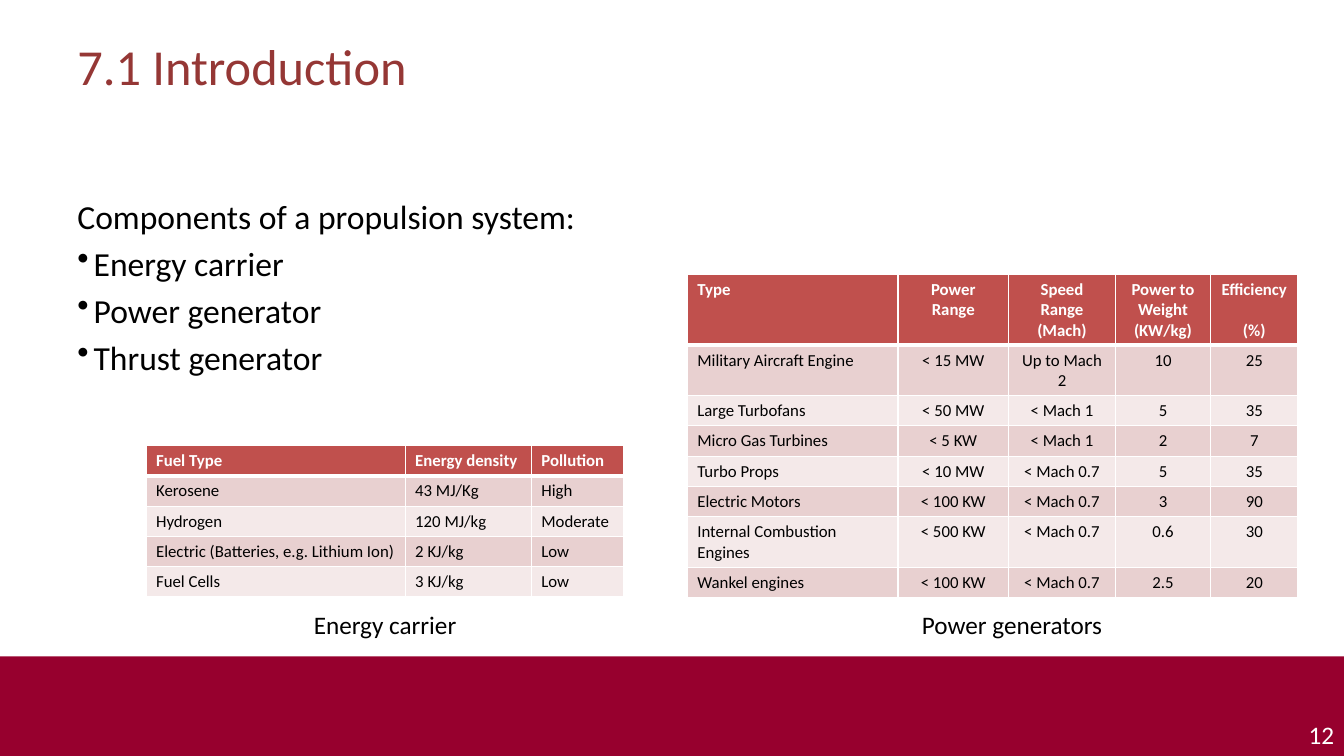
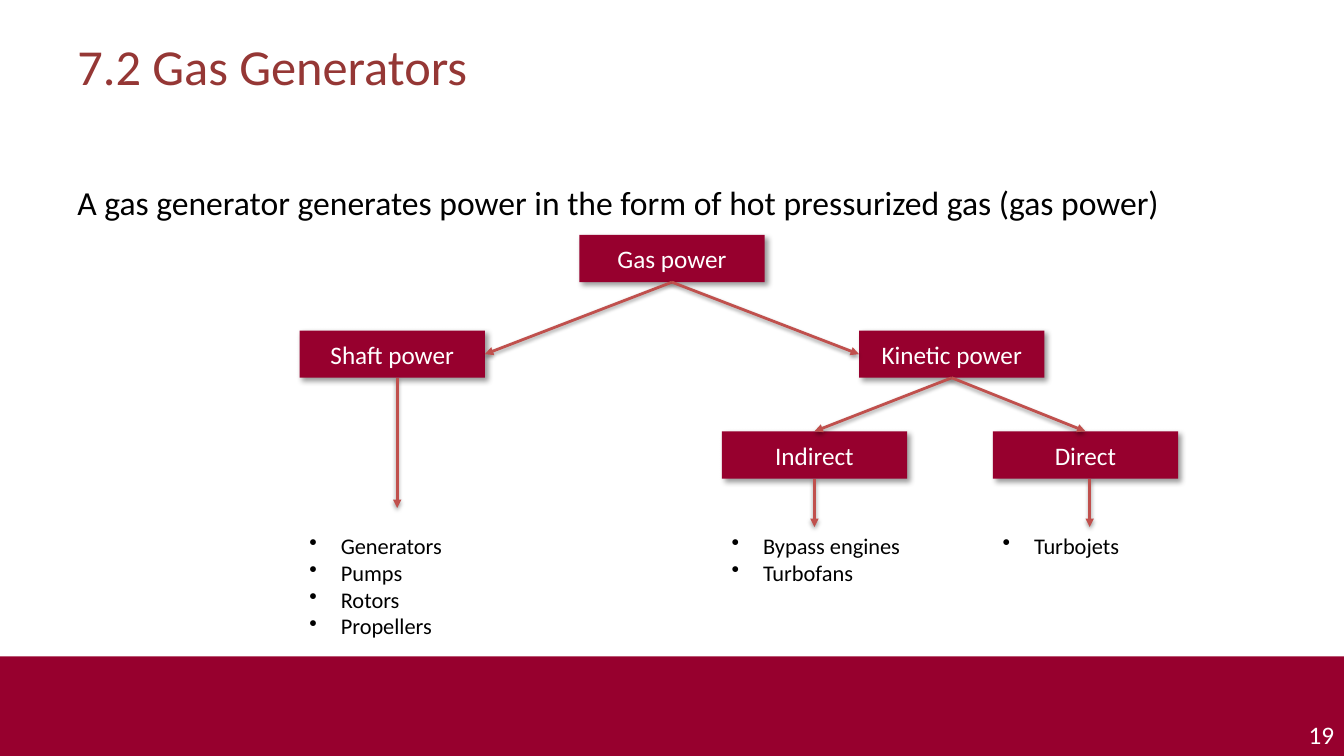
from dataclasses import dataclass

from lxml import etree
from pptx import Presentation
from pptx.dml.color import RGBColor
from pptx.enum.shapes import MSO_CONNECTOR, MSO_SHAPE
from pptx.enum.text import MSO_ANCHOR, PP_ALIGN
from pptx.oxml.ns import qn
from pptx.util import Cm, Pt

LEFT, CENTER, RIGHT = PP_ALIGN.LEFT, PP_ALIGN.CENTER, PP_ALIGN.RIGHT
MIDDLE = MSO_ANCHOR.MIDDLE
RECTANGLE, STRAIGHT = MSO_SHAPE.RECTANGLE, MSO_CONNECTOR.STRAIGHT
SIDE_TOP, SIDE_LEFT, SIDE_BOTTOM, SIDE_RIGHT = range(4)


@dataclass(frozen=True)
class Theme:
    font: str = "Calibri"
    crimson: str = "97002E"
    title: str = "953735"
    accent: str = "C0504D"
    stripes: tuple = ("E8D0D0", "F4E9E9")
    black: str = "000000"
    white: str = "FFFFFF"
    title_size: int = 36
    body_size: int = 24
    label_size: int = 18
    list_size: int = 16
    table_size: int = 12
    body_gap: float = 4.8


T = Theme()
SLIDE_W, SLIDE_H = 33.87, 19.05
BAND_TOP = 16.54
MARGIN, BODY_W = 1.7, 30.48
BOX_W, BOX_H = 4.67, 1.19
LINE_H, CELL_PAD = 0.51, 0.25


# Text
def write(tf, lines, size=T.body_size, color=T.black, bold=False,
          align=LEFT, gap=0, bullet=None):
    """Append paragraphs; gap is in points, bullet is the indent in cm."""
    tf.word_wrap = True
    for line in lines:
        first = not tf.text
        p = tf.paragraphs[0] if first else tf.add_paragraph()
        p.alignment = align
        if gap and not first:
            p.space_before = Pt(gap)
        if bullet:
            pPr = p._p.get_or_add_pPr()
            pPr.set("marL", str(Cm(bullet)))
            pPr.set("indent", str(-Cm(bullet)))
            etree.SubElement(pPr, qn("a:buChar"), char="•")
        r = p.add_run()
        r.text = line
        r.font.name, r.font.size, r.font.bold = T.font, Pt(size), bold
        r.font.color.rgb = RGBColor.from_string(color)


def add_text(s, x, y, w, h, lines, **fmt):
    tf = s.shapes.add_textbox(Cm(x), Cm(y), Cm(w), Cm(h)).text_frame
    write(tf, lines, **fmt)
    return tf


# Shapes and arrows
def add_rect(s, x, y, w, h):
    sp = s.shapes.add_shape(RECTANGLE, Cm(x), Cm(y), Cm(w), Cm(h))
    sp.fill.solid()
    sp.fill.fore_color.rgb = RGBColor.from_string(T.crimson)
    sp.line.fill.background()
    sp.shadow.inherit = False
    return sp


def add_shadow(effects, opacity, blur, distance, angle):
    shadow = etree.SubElement(
        effects, qn("a:outerShdw"), blurRad=str(Pt(blur)),
        dist=str(Pt(distance)), dir=str(angle * 60000), rotWithShape="0")
    color = etree.SubElement(shadow, qn("a:srgbClr"), val=T.black)
    etree.SubElement(color, qn("a:alpha"), val=str(opacity * 1000))


def add_box(s, x, y, label):
    sp = add_rect(s, x, y, BOX_W, BOX_H)
    add_shadow(sp._element.spPr.find(qn("a:effectLst")), 40, 4, 3, 45)
    sp.text_frame.vertical_anchor = MIDDLE
    write(sp.text_frame, [label], size=T.label_size, color=T.white,
          align=CENTER)
    return sp


def add_arrow(s, x1=0, y1=0, x2=0, y2=0, begin=None, end=None):
    """Draw an arrow; begin and end are optional (shape, side) joints."""
    c = s.shapes.add_connector(STRAIGHT, Cm(x1), Cm(y1), Cm(x2), Cm(y2))
    if begin:
        c.begin_connect(*begin)
    if end:
        c.end_connect(*end)
    c.line.color.rgb = RGBColor.from_string(T.accent)
    c.line.width = Pt(2)
    etree.SubElement(c.line._get_or_add_ln(), qn("a:tailEnd"),
                     type="triangle")
    effects = etree.SubElement(c._element.spPr, qn("a:effectLst"))
    add_shadow(effects, 38, 3.1, 1.6, 90)


# Tables
def style_cell(cell, fill, top, bottom):
    tcPr = cell._tc.get_or_add_tcPr()
    for side, width in zip("LRTB", (1, 1, top, bottom)):
        ln = etree.SubElement(tcPr, qn("a:ln" + side), w=str(Pt(width)))
        solid = etree.SubElement(ln, qn("a:solidFill"))
        etree.SubElement(solid, qn("a:srgbClr"), val=T.white)
    cell.fill.solid()
    cell.fill.fore_color.rgb = RGBColor.from_string(fill)


def add_grid(s, x, y, widths, rows, line_counts, align=LEFT):
    """Add a table; align applies to every column but the first."""
    heights = [CELL_PAD + LINE_H * n for n in line_counts]
    table = s.shapes.add_table(len(rows), len(widths), Cm(x), Cm(y),
                               Cm(sum(widths)), Cm(sum(heights))).table
    for column, width in zip(table.columns, widths):
        column.width = Cm(width)
    for i, (row, height) in enumerate(zip(rows, heights)):
        table.rows[i].height = Cm(height)
        head = i == 0
        for j, value in enumerate(row):
            cell = table.cell(i, j)
            style_cell(cell, T.accent if head else T.stripes[(i - 1) % 2],
                       top=3 if i == 1 else 1, bottom=3 if head else 1)
            write(cell.text_frame, value.split("\n"), size=T.table_size,
                  color=T.white if head else T.black, bold=head,
                  align=align if j else LEFT)
    return table


# Shared slide frame
def add_slide(prs, title, number):
    s = prs.slides.add_slide(prs.slide_layouts[6])
    add_rect(s, 0, BAND_TOP, SLIDE_W, SLIDE_H - BAND_TOP)
    add_text(s, 32.07, 18.01, 1.8, 1.02, [number], size=T.label_size,
             color=T.white, align=RIGHT)
    add_text(s, MARGIN, 0.76, BODY_W, 3.18, [title], size=T.title_size,
             color=T.title)
    return s


def build_introduction(prs):
    s = add_slide(prs, "7.1 Introduction", "12")
    body = add_text(s, MARGIN, 4.8, BODY_W, 11.4,
                    ["Components of a propulsion system:"])
    write(body, ["Energy carrier", "Power generator", "Thrust generator"],
          gap=T.body_gap, bullet=0.41)

    # Energy carriers
    fuels = [
        ("Fuel Type", "Energy density", "Pollution"),
        ("Kerosene", "43 MJ/Kg", "High"),
        ("Hydrogen", "120 MJ/kg", "Moderate"),
        ("Electric (Batteries, e.g. Lithium Ion)", "2 KJ/kg", "Low"),
        ("Fuel Cells", "3 KJ/kg", "Low"),
    ]
    add_grid(s, 3.68, 11.23, (6.53, 3.18, 2.33), fuels, [1] * len(fuels))

    # Power generators
    engines = [
        ("Type", "Power Range", "Speed Range\n(Mach)",
         "Power to Weight\n(KW/kg)", "Efficiency\n(%)"),
        ("Military Aircraft Engine", "< 15 MW", "Up to Mach 2", "10", "25"),
        ("Large Turbofans", "< 50 MW", "< Mach 1", "5", "35"),
        ("Micro Gas Turbines", "< 5 KW", "< Mach 1", "2", "7"),
        ("Turbo Props", "< 10 MW", "< Mach 0.7", "5", "35"),
        ("Electric Motors", "< 100 KW", "< Mach 0.7", "3", "90"),
        ("Internal Combustion Engines", "< 500 KW", "< Mach 0.7", "0.6",
         "30"),
        ("Wankel engines", "< 100 KW", "< Mach 0.7", "2.5", "20"),
    ]
    table = add_grid(s, 17.32, 6.91, (5.31, 2.79, 2.69, 2.4, 2.2), engines,
                     (3, 2, 1, 1, 1, 1, 2, 1), align=CENTER)
    # Level the percent unit with the units beside it
    unit = table.cell(0, 4).text_frame.paragraphs[1]
    unit.space_before = Pt(14.6)

    for x, caption in ((6.81, "Energy carrier"), (22.61, "Power generators")):
        add_text(s, x, 15.24, 5.79, 1.02, [caption], size=T.label_size,
                 align=CENTER)


def build_gas_generators(prs):
    s = add_slide(prs, "7.2 Gas Generators", "19")
    add_text(s, MARGIN, 4.45, BODY_W, 11.4,
             ["A gas generator generates power in the form of hot "
              "pressurized gas (gas power)"])

    # Power tree
    root_x, spread = (SLIDE_W - BOX_W) / 2, 7.05
    shaft_x, kinetic_x = root_x - spread, root_x + spread
    indirect_x, direct_x = 18.19, 25.02
    level_2, level_3, lists_y = 8.33, 10.87, 13.28
    gas = add_box(s, root_x, 5.92, "Gas power")
    shaft = add_box(s, shaft_x, level_2, "Shaft power")
    kinetic = add_box(s, kinetic_x, level_2, "Kinetic power")
    indirect = add_box(s, indirect_x, level_3, "Indirect")
    direct = add_box(s, direct_x, level_3, "Direct")

    # Branches
    for parent, child, side in ((gas, shaft, SIDE_RIGHT),
                                (gas, kinetic, SIDE_LEFT),
                                (kinetic, indirect, SIDE_TOP),
                                (kinetic, direct, SIDE_TOP)):
        add_arrow(s, begin=(parent, SIDE_BOTTOM), end=(child, side))

    # Arrows to the examples
    add_arrow(s, 10.01, level_2 + BOX_H, 10.01, 12.8)
    add_arrow(s, x2=indirect_x + BOX_W / 2, y2=lists_y,
              begin=(indirect, SIDE_BOTTOM))
    add_arrow(s, 27.46, level_3 + BOX_H, 27.46, lists_y)

    # Examples
    for x, items in (
            (shaft_x, ["Generators", "Pumps", "Rotors", "Propellers"]),
            (indirect_x, ["Bypass engines", "Turbofans"]),
            (direct_x, ["Turbojets"])):
        add_text(s, x, lists_y, 5.31, 0.25 + 0.69 * len(items), items,
                 size=T.list_size, bullet=0.79)


def main():
    prs = Presentation()
    prs.slide_width, prs.slide_height = Cm(SLIDE_W), Cm(SLIDE_H)
    build_introduction(prs)
    build_gas_generators(prs)
    prs.save("out.pptx")


if __name__ == "__main__":
    main()
